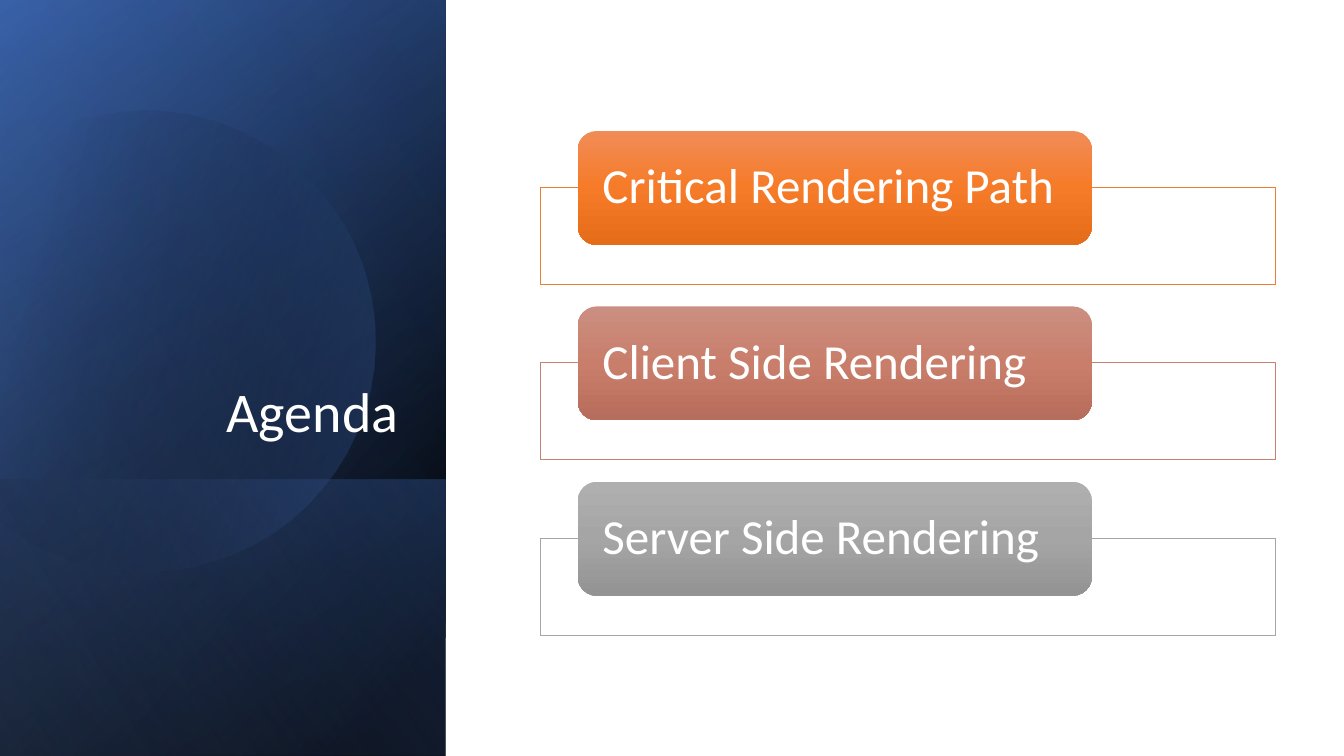
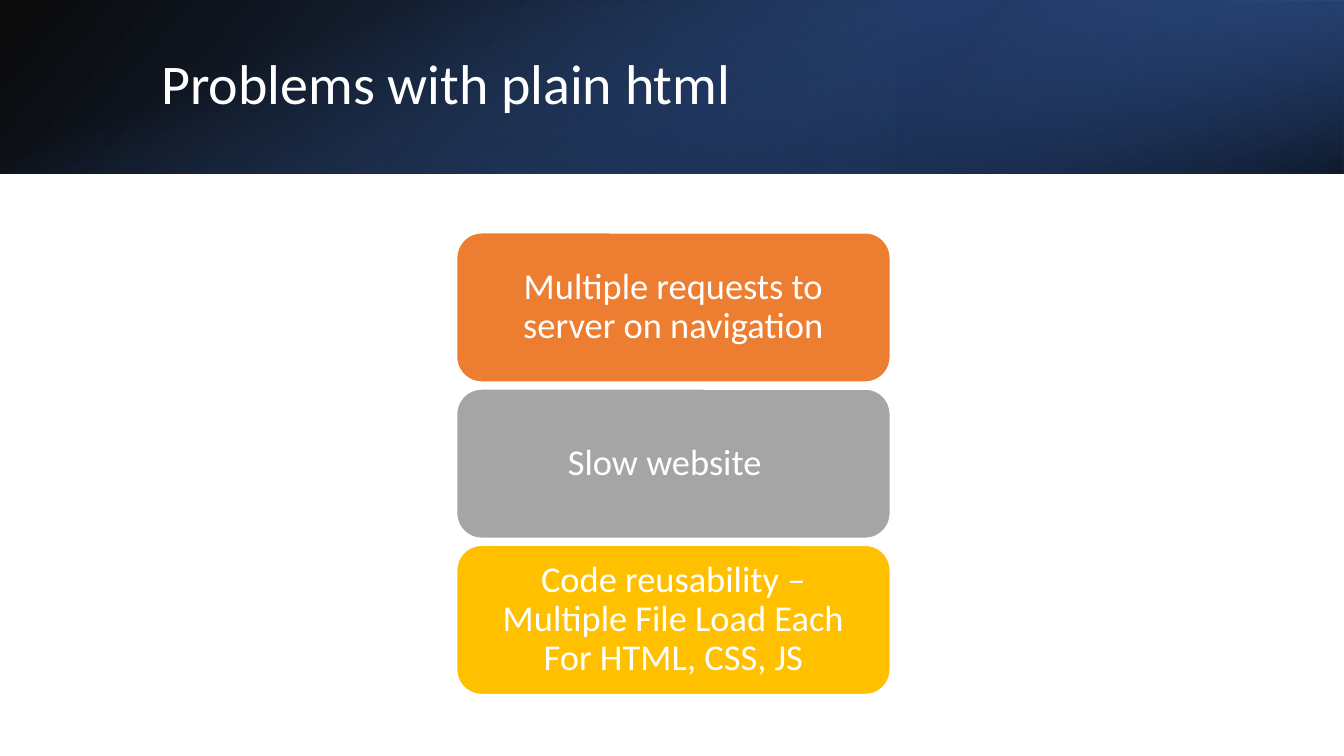
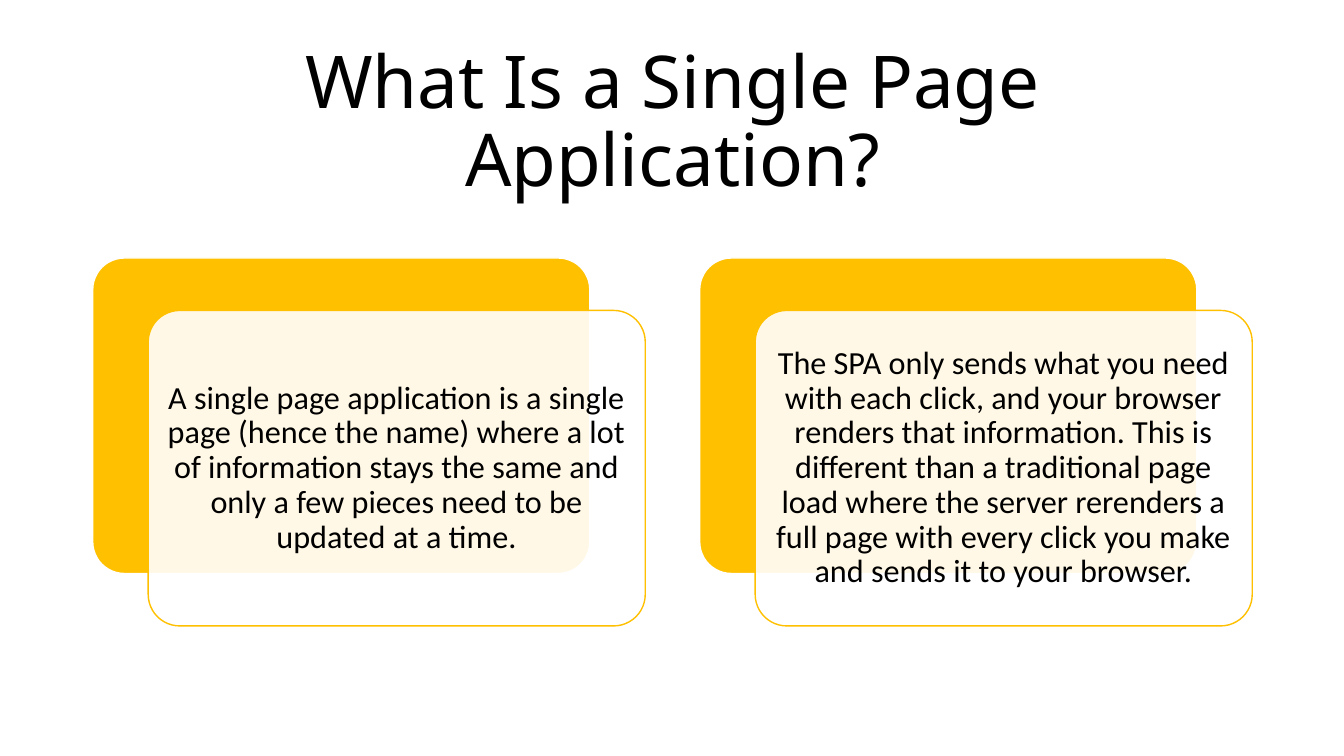
"""Build three slides on web page rendering."""
import math
from dataclasses import dataclass

from lxml import etree
from pptx import Presentation
from pptx import util as u
from pptx.dml.color import RGBColor
from pptx.enum import shapes, text
from pptx.oxml import ns

HUES = {
    "white": "FFFFFF", "black": "000000", "blue": "4472C4", "deep": "2F5597",
    "navy": "203864", "sky": "8FAADC", "orange": "ED7D31", "rust": "C48170",
    "grey": "A5A5A5", "gold": "FFC000",
    "orange hi": "F18C57", "orange mid": "F67B28", "orange low": "E56C19",
    "rust hi": "CB8F81", "rust mid": "C97E6B", "rust low": "B76D5B",
    "grey hi": "AFAFAF", "grey mid": "A5A5A5", "grey low": "939393",
}
RECT = shapes.MSO_SHAPE.RECTANGLE
ROUND = shapes.MSO_SHAPE.ROUNDED_RECTANGLE
LEFT, MID, RIGHT = text.PP_ALIGN.LEFT, text.PP_ALIGN.CENTER, text.PP_ALIGN.RIGHT
Box = tuple[float, float, float, float]
Point = tuple[float, float]


@dataclass(frozen=True)
class Stop:
    """A gradient stop, with place and opacity in percent."""
    at: float
    hue: str
    alpha: float = 100


@dataclass(frozen=True)
class Band:
    """A gradient rectangle."""
    box: Box
    stops: tuple[Stop, ...]
    angle: float
    turn: float = 0
    flip: bool = False


@dataclass(frozen=True)
class Card:
    """A labelled card with its hue and right inset."""
    label: str
    hue: str
    right: float = 0.11


SIDE = (-1.54, 1.54, 7.5, 4.42)
PANEL = (
    Band(SIDE, (Stop(8, "black"), Stop(100, "deep")), 50, 90, True),
    Band(SIDE, (Stop(0, "black", 0), Stop(99, "blue", 46)), 30, 90, True),
    Band((0.84, 3.92, 2.74, 4.42),
         (Stop(2, "blue", 29), Stop(100, "black", 30)), 130, 90, True),
)
SHEEN = Band(SIDE, (Stop(0, "black", 0), Stop(99, "sky", 11)), 120, 90, True)
HEADER = (
    Band((0, 0, 13.33, 1.72),
         (Stop(0, "black", 96), Stop(100, "deep")), 140, 0, True),
    Band((8.89, 0, 4.44, 1.72),
         (Stop(19, "navy", 68), Stop(100, "blue", 79)), 320, 180, True),
    Band((5.8, -5.8, 1.72, 13.33),
         (Stop(23, "blue", 0), Stop(99, "black", 74)), 340, 90),
)
TOPICS = (
    Card("Critical Rendering Path", "orange", 0.19),
    Card("Client Side Rendering", "rust", 0.19),
    Card("Server Side Rendering", "grey", 0.19),
)
FLAWS = (
    Card("Multiple requests to server on navigation", "orange"),
    Card("Slow website", "grey", 0.28),
    Card("Code reusability – Multiple File Load Each For HTML, CSS, JS", "gold"),
)
FACTS = (
    "A single page application is a single page (hence the name) where a lot "
    "of information stays the same and only a few pieces need to be updated "
    "at a time.",
    "The SPA only sends what you need with each click, and your browser "
    "renders that information. This is different than a traditional page load "
    "where the server rerenders a full page with every click you make and "
    "sends it to your browser.",
)
START = (1.49, 1.1)
ARCS = (
    ((2.46, 1.12), (3.35, 1.77), (3.63, 2.75)),
    ((3.98, 3.97), (3.28, 5.23), (2.07, 5.58)),
    ((1.31, 5.8), (0.53, 5.61), (-0.03, 5.14)),
    ((-0.15, 5.03),),
    ((-0.15, 1.75),),
    ((0, 1.61),),
    ((0.23, 1.42), (0.5, 1.28), (0.8, 1.19)),
    ((1.03, 1.13), (1.26, 1.1), (1.49, 1.1)),
)
HUB = (1.58, 3.34)
TILT = -16.1


def color(hue: str) -> RGBColor:
    """Look up a named colour."""
    return RGBColor.from_string(HUES[hue])


def tint(node, hue: str, alpha: float) -> None:
    """Add a colour with its opacity to an XML node."""
    rgb = etree.SubElement(node, ns.qn("a:srgbClr"), val=HUES[hue])
    if alpha < 100:
        etree.SubElement(rgb, ns.qn("a:alpha"), val=str(round(alpha * 1000)))


def paint(shape, stops: tuple[Stop, ...], angle: float = 0) -> None:
    """Fill a shape with one colour or a linear gradient."""
    shape.fill.background()
    props = shape.element.spPr
    blank = props.find(ns.qn("a:noFill"))
    if len(stops) == 1:
        fill = etree.SubElement(props, ns.qn("a:solidFill"))
        tint(fill, stops[0].hue, stops[0].alpha)
    else:
        fill = etree.SubElement(props, ns.qn("a:gradFill"), rotWithShape="1")
        group = etree.SubElement(fill, ns.qn("a:gsLst"))
        for stop in stops:
            node = etree.SubElement(group, ns.qn("a:gs"), pos=str(round(stop.at * 1000)))
            tint(node, stop.hue, stop.alpha)
        etree.SubElement(fill, ns.qn("a:lin"), ang=str(round(angle * 60000)), scaled="0")
    props.replace(blank, fill)


def edge(shape, hue: str = "", width: float = 1) -> None:
    """Set the outline and drop the shadow."""
    shape.shadow.inherit = False
    if hue:
        shape.line.color.rgb = color(hue)
        shape.line.width = u.Pt(width)
    else:
        shape.line.fill.background()


def block(slide, kind, box: Box, stops: tuple[Stop, ...], angle: float = 0,
          line: str = "", width: float = 1):
    """Draw a filled preset shape."""
    shape = slide.shapes.add_shape(kind, *map(u.Inches, box))
    paint(shape, stops, angle)
    edge(shape, line, width)
    return shape


def write(shape, words: str, size: float, hue: str = "white", font: str = "Calibri",
          align=MID, anchor=text.MSO_ANCHOR.MIDDLE,
          pad: Box = (0.1, 0.05, 0.1, 0.05)) -> None:
    """Put formatted text in a shape."""
    frame = shape.text_frame
    frame.word_wrap = True
    frame.auto_size = text.MSO_AUTO_SIZE.NONE
    frame.vertical_anchor = anchor
    (frame.margin_left, frame.margin_top,
     frame.margin_right, frame.margin_bottom) = map(u.Inches, pad)
    para = frame.paragraphs[0]
    para.alignment = align
    para.line_spacing = 0.9
    run = para.add_run()
    run.text = words
    run.font.size = u.Pt(size)
    run.font.name = font
    run.font.color.rgb = color(hue)


def head(slide, words: str, box: Box, size: float = 40, **style) -> None:
    """Place the title above what is drawn so far."""
    title = slide.shapes.title
    title.left, title.top, title.width, title.height = map(u.Inches, box)
    write(title, words, size, **style)
    title.element.getparent().append(title.element)


def strip(slide, band: Band) -> None:
    """Draw a gradient band."""
    shape = block(slide, RECT, band.box, band.stops, band.angle)
    shape.rotation = band.turn
    if band.flip:
        shape.element.spPr.xfrm.set("flipH", "1")


def trace(steps: int = 16) -> list[Point]:
    """Sample the cut disc as points."""
    dots = [START]
    for arc in ARCS:
        if len(arc) == 1:
            dots.append(arc[0])
            continue
        a, (b, c, d) = dots[-1], arc
        for i in range(1, steps + 1):
            t = i / steps
            s = 1 - t
            dots.append(tuple(
                s**3 * a[k] + 3 * s * s * t * b[k] + 3 * s * t * t * c[k] + t**3 * d[k]
                for k in (0, 1)))
    return dots


def disc(slide) -> None:
    """Draw the tilted disc, cut at the left edge."""
    turn = math.radians(-TILT)
    dots = []
    for x, y in trace():
        dx, dy = x - HUB[0], y - HUB[1]
        dots.append((u.Inches(HUB[0] + dx * math.cos(turn) - dy * math.sin(turn)),
                     u.Inches(HUB[1] + dx * math.sin(turn) + dy * math.cos(turn))))
    pen = slide.shapes.build_freeform(*dots[0])
    pen.add_line_segments(dots[1:], close=True)
    shape = pen.convert_to_shape()
    shape.rotation = TILT
    paint(shape, (Stop(29, "black", 0), Stop(100, "blue", 43)), 30)
    edge(shape)


def agenda(slide) -> None:
    """Draw the agenda."""
    for band in PANEL:
        strip(slide, band)
    disc(slide)
    strip(slide, SHEEN)
    head(slide, "Agenda", (0.64, 1.84, 3.41, 2.62), align=RIGHT,
         anchor=text.MSO_ANCHOR.BOTTOM)
    for i, card in enumerate(TOPICS):
        top = 1.3 + 1.74 * i
        block(slide, RECT, (5.36, top + 0.56, 7.29, 0.96),
              (Stop(0, "white", 90),), line=card.hue, width=0.5)
        stops = tuple(Stop(at, f"{card.hue} {tone}")
                      for at, tone in ((0, "hi"), (50, "mid"), (100, "low")))
        shape = block(slide, ROUND, (5.73, top, 5.1, 1.13), stops, 90)
        write(shape, card.label, 35, align=LEFT, pad=(0.19, 0, card.right, 0))


def flaws(slide) -> None:
    """Draw the problems with plain pages."""
    for band in HEADER:
        strip(slide, band)
    head(slide, "Problems with plain html", (1.5, 0.38, 10.98, 0.96), align=LEFT)
    for i, card in enumerate(FLAWS):
        shape = block(slide, ROUND, (4.53, 2.31 + 1.55 * i, 4.3, 1.48),
                      (Stop(0, card.hue),), line="white")
        write(shape, card.label, 26, pad=(0.11, 0.05, card.right, 0.05))


def single(slide) -> None:
    """Draw the two facts on single page applications."""
    head(slide, "What Is a Single Page Application?", (0.92, 0.61, 11.5, 1.24),
         52, hue="black", font="Noto Sans")
    for i, fact in enumerate(FACTS):
        left = 0.92 + 6.02 * i
        back = block(slide, ROUND, (left, 2.56, 4.93, 3.13),
                     (Stop(0, "gold"),), line="white")
        front = block(slide, ROUND, (left + 0.55, 3.08, 4.93, 3.13),
                      (Stop(0, "white", 90),), line="gold")
        for shape in (back, front):
            shape.adjustments[0] = 0.1
        write(front, fact, 23, hue="black", pad=(0.1, 0.1, 0.1, 0.1))


def main() -> None:
    """Build and save the deck."""
    deck = Presentation()
    deck.slide_width, deck.slide_height = u.Inches(13.33), u.Inches(7.5)
    for draw in (agenda, flaws, single):
        draw(deck.slides.add_slide(deck.slide_layouts[5]))
    deck.save("out.pptx")


if __name__ == "__main__":
    main()
